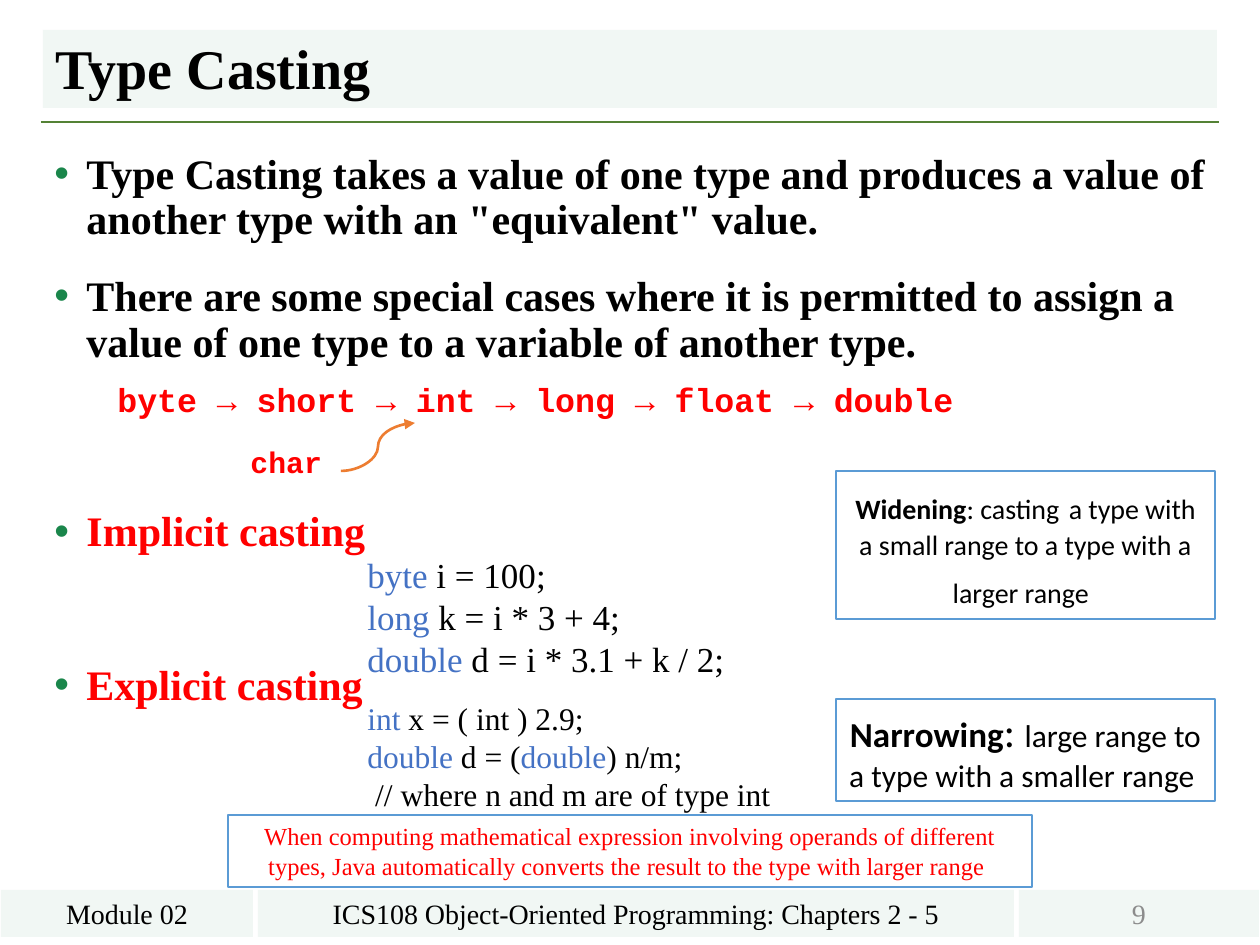
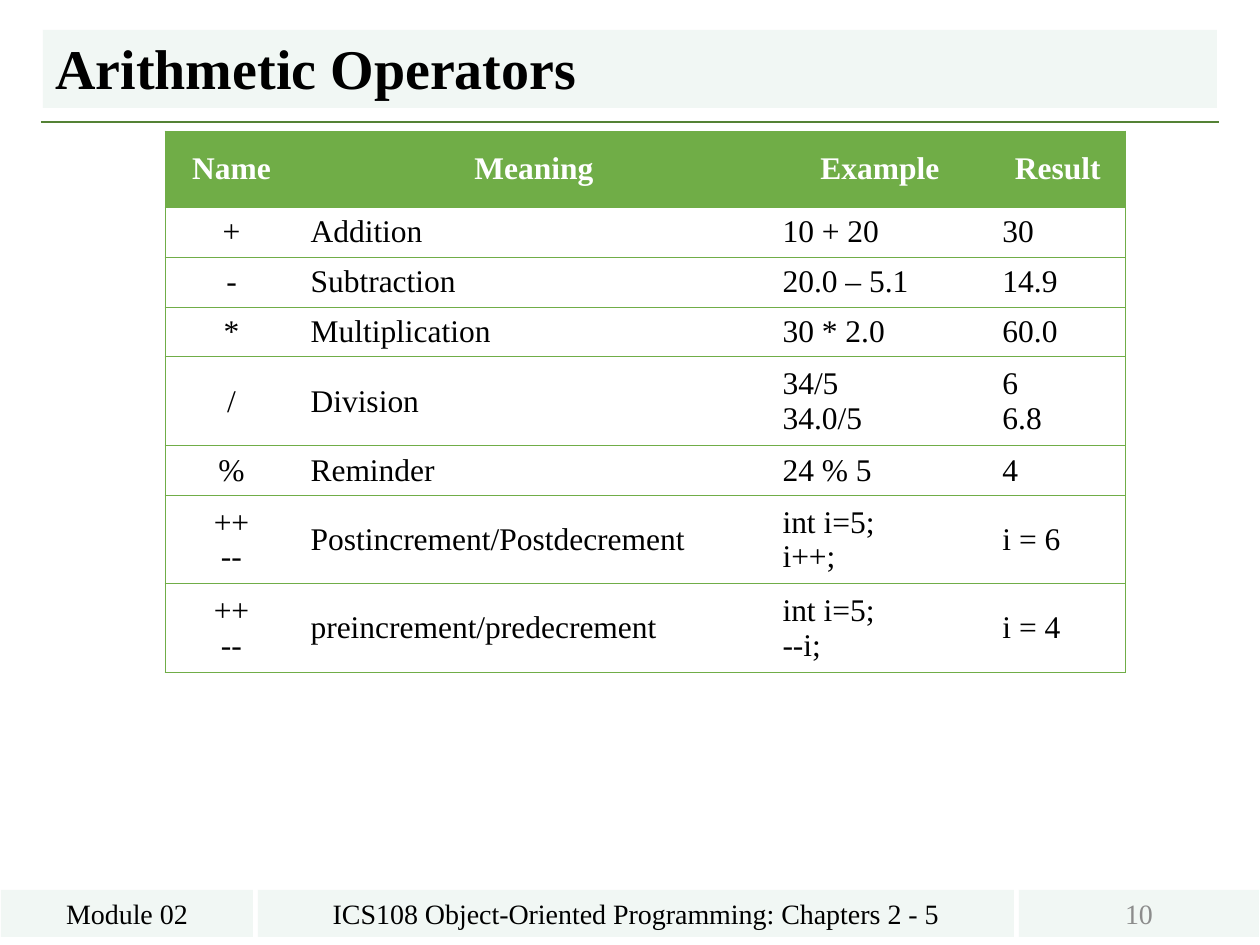
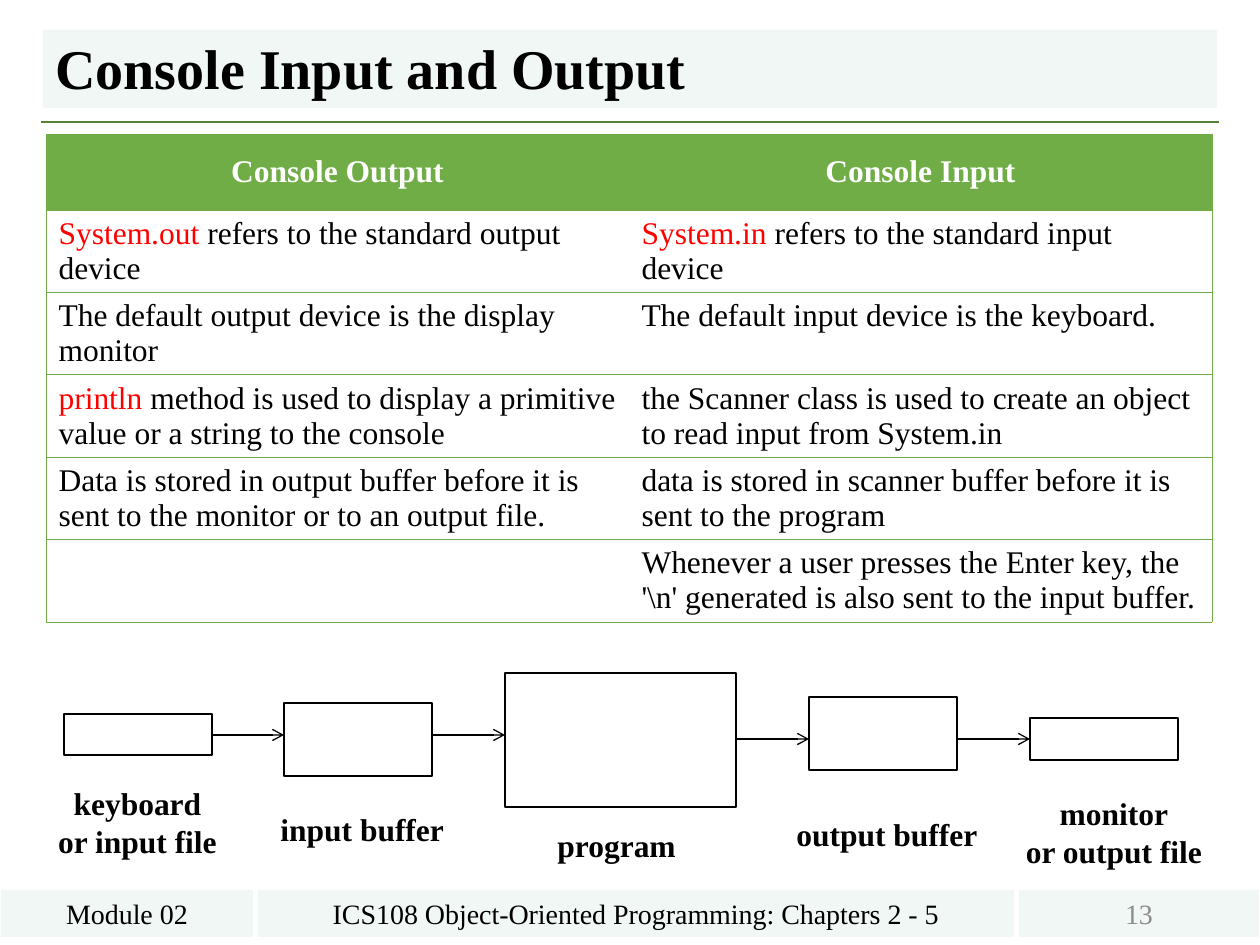
from lxml import etree
from pptx import Presentation
from pptx import util as u
from pptx.dml.color import RGBColor
from pptx.enum import shapes, text
from pptx.oxml.ns import qn

SCALE = u.Inches(1) / 126
SLIDE_WIDTH, SLIDE_HEIGHT = 1260, 945

BLACK = RGBColor(0x00, 0x00, 0x00)
WHITE = RGBColor(0xFF, 0xFF, 0xFF)
RED = RGBColor(0xFF, 0x00, 0x00)
GRAY = RGBColor(0x8C, 0x8C, 0x8C)
BAND = RGBColor(0xF1, 0xF7, 0xF4)
RULE_GREEN = RGBColor(0x54, 0x82, 0x35)
TABLE_GREEN = RGBColor(0x70, 0xAD, 0x47)
BULLET_GREEN = RGBColor(0x1A, 0x86, 0x4B)
KEYWORD_BLUE = RGBColor(0x44, 0x72, 0xC4)
NOTE_BLUE = RGBColor(0x5B, 0x9B, 0xD5)
ORANGE = RGBColor(0xED, 0x7D, 0x31)

SERIF, MONO, SANS = "Times New Roman", "Courier New", "Calibri"
CENTER = text.PP_ALIGN.CENTER
MIDDLE, BOTTOM = text.MSO_ANCHOR.MIDDLE, text.MSO_ANCHOR.BOTTOM


def px(length):
    return u.Emu(round(length * SCALE))


def keyword(word):
    return word, {"color": KEYWORD_BLUE}


def red(word):
    return word, {"color": RED}


def format_run(run, size=18, font=SERIF, color=BLACK, bold=False):
    run.font.size = u.Pt(size)
    run.font.name = font
    run.font.color.rgb = color
    run.font.bold = bold


def write(frame, paragraphs, align=None, anchor=None, **style):
    """Fill a frame; a paragraph is a string or a list of strings and (string, style) runs."""
    frame.word_wrap = True
    if anchor is not None:
        frame.vertical_anchor = anchor
    for index, runs in enumerate(paragraphs):
        paragraph = frame.paragraphs[0] if index == 0 else frame.add_paragraph()
        paragraph.alignment = align
        for run in [runs] if isinstance(runs, str) else runs:
            words, changes = (run, {}) if isinstance(run, str) else run
            added = paragraph.add_run()
            added.text = words
            format_run(added, **{**style, **changes})


def add_text(slide, place, *paragraphs, **style):
    box = slide.shapes.add_textbox(*map(px, place))
    write(box.text_frame, paragraphs, **style)
    return box.text_frame


def add_box(slide, place, *paragraphs, fill=None, line=None, line_width=1, **style):
    shape = slide.shapes.add_shape(shapes.MSO_SHAPE.RECTANGLE, *map(px, place))
    shape.shadow.inherit = False
    if fill is None:
        shape.fill.background()
    else:
        shape.fill.solid()
        shape.fill.fore_color.rgb = fill
    if line is None:
        shape.line.fill.background()
    else:
        shape.line.color.rgb = line
        shape.line.width = u.Pt(line_width)
    if paragraphs:
        shape.text_frame.vertical_anchor = text.MSO_ANCHOR.TOP
        write(shape.text_frame, paragraphs, **style)


def add_line(slide, start, end, color, width, head=None, kind=shapes.MSO_CONNECTOR.STRAIGHT):
    connector = slide.shapes.add_connector(kind, *map(px, start + end))
    connector.line.color.rgb = color
    connector.line.width = u.Pt(width)
    if head:
        etree.SubElement(connector.line._get_or_add_ln(), qn("a:tailEnd"), type=head)
    etree.SubElement(connector._element.spPr, qn("a:effectLst"))


def indent(paragraph, left, first, bullet=False):
    properties = paragraph._p.get_or_add_pPr()
    properties.set("marL", str(px(left)))
    properties.set("indent", str(px(first)))
    if bullet:
        color = etree.SubElement(properties, qn("a:buClr"))
        etree.SubElement(color, qn("a:srgbClr"), val=str(BULLET_GREEN))
        etree.SubElement(properties, qn("a:buFont"), typeface="Arial")
        etree.SubElement(properties, qn("a:buChar"), char="•")


def set_borders(cell, visible):
    properties = cell._tc.get_or_add_tcPr()
    for side in "LRTB":
        line = etree.SubElement(properties, qn(f"a:ln{side}"), w=str(u.Pt(0.5)))
        if side in visible:
            fill = etree.SubElement(line, qn("a:solidFill"))
            etree.SubElement(fill, qn("a:srgbClr"), val=str(TABLE_GREEN))
        else:
            etree.SubElement(line, qn("a:noFill"))


def add_table(slide, left, top, widths, heights, rows, centered=(), anchor=None):
    """Green header over ruled rows; each cell is a list of paragraphs."""
    frame = slide.shapes.add_table(
        len(rows), len(widths), px(left), px(top), px(sum(widths)), px(sum(heights)))
    table = frame.table
    for column, width in zip(table.columns, widths):
        column.width = px(width)
    for row, height in zip(table.rows, heights):
        row.height = px(height)
    for row_index, row in enumerate(rows):
        header = row_index == 0
        for column_index, paragraphs in enumerate(row):
            cell = table.cell(row_index, column_index)
            outer = "L" * (column_index == 0) + "R" * (column_index == len(row) - 1)
            set_borders(cell, "TB" + outer)
            cell.fill.solid()
            cell.fill.fore_color.rgb = TABLE_GREEN if header else WHITE
            cell.vertical_anchor = MIDDLE if header else anchor
            write(cell.text_frame, paragraphs,
                  align=CENTER if header or column_index in centered else None,
                  color=WHITE if header else BLACK, bold=header)


def add_slide(presentation, title, number):
    """Blank slide with the title band, the rule and the three footer bands."""
    slide = presentation.slides.add_slide(presentation.slide_layouts[6])
    add_line(slide, (41, 122), (1219, 122), RULE_GREEN, 1.5)
    footers = [(1, 252, "Module 02", BLACK),
               (258, 756, "ICS108 Object-Oriented Programming: Chapters 2 - 5", BLACK),
               (1019, 240, str(number), GRAY)]
    for left, width, words, color in footers:
        add_box(slide, (left, 890, width, 47), words, fill=BAND,
                align=CENTER, anchor=MIDDLE, size=16, color=color)
    add_box(slide, (43, 30, 1174, 78), title, fill=BAND, anchor=BOTTOM, size=32, bold=True)
    slide.shapes[-1].text_frame.paragraphs[0].line_spacing = 0.9
    return slide


def add_casting_points(slide):
    conversion = {"font": MONO, "color": RED}
    # words, run style, left indent, first-line indent, line spacing, space before
    points = [
        ("Type Casting takes a value of one type and produces a value of another type "
         "with an \"equivalent\" value.", {}, 32, -32, 0.9, 18),
        ("There are some special cases where it is permitted to assign a value of one type "
         "to a variable of another type.", {}, 32, -32, 0.9, 18),
        ("byte → short → int → long → float → double", {"size": 19, **conversion},
         63, 0, 0.8, 12),
        ("char", {"size": 17, **conversion}, 196, 0, 0.8, 18),
        ("Implicit casting", {"color": RED}, 32, -32, 0.9, 18),
        ("Explicit casting", {"color": RED}, 32, -32, 0.9, 62),
    ]
    frame = add_text(slide, (42, 147, 1177, 713),
                     *[[(words, style)] for words, style, *_ in points], size=24, bold=True)
    for paragraph, (_, _, left, first, spacing, before) in zip(frame.paragraphs, points):
        paragraph.line_spacing = spacing
        paragraph.space_before = u.Pt(before)
        indent(paragraph, left, first, bullet=first < 0)


def build_type_casting(presentation):
    slide = add_slide(presentation, "Type Casting", 9)
    add_casting_points(slide)
    add_line(slide, (341, 471), (415, 423), ORANGE, 1.5, "triangle", shapes.MSO_CONNECTOR.CURVE)
    add_text(slide, (355, 547, 438, 140),
             [keyword("byte "), "i = 100;"],
             [keyword("long"), " k = i * 3 + 4;"],
             [keyword("double"), " d = i * 3.1 + k / 2;"], size=20)
    add_text(slide, (355, 693, 462, 127),
             [keyword("int"), " x = ( int ) 2.9;"],
             [keyword("double"), " d = (", keyword("double"), ") n/m;"],
             " // where n and m are of type int")
    note = {"fill": WHITE, "line": NOTE_BLUE, "align": CENTER}
    large = {"size": 24}
    add_box(slide, (836, 699, 379, 102),
            [("Narrowing", {"size": 20, "bold": True}), (": ", large),
             "large range to a type with a smaller range "], font=SANS, **note)
    add_box(slide, (836, 471, 379, 148),
            [("Widening", {"bold": True}), ": casting", (" ", large),
             "a type with a small range to a type with a larger range", (" ", large)],
            font=SANS, size=16, **note)
    add_box(slide, (228, 815, 804, 72),
            "When computing mathematical expression involving operands of different types, "
            "Java automatically converts the result to the type with larger range ",
            size=14, color=RED, **note)


def build_operators(presentation):
    slide = add_slide(presentation, "Arithmetic Operators", 10)
    rows = [
        [["Name"], ["Meaning"], ["Example"], ["Result"]],
        [["+"], ["Addition"], ["10 + 20"], ["30"]],
        [["-"], ["Subtraction"], ["20.0 – 5.1"], ["14.9"]],
        [["*"], ["Multiplication"], ["30 * 2.0"], ["60.0"]],
        [["/"], ["Division"], ["34/5", "34.0/5"], ["6", "6.8"]],
        [["%"], ["Reminder"], ["24 % 5"], ["4"]],
        [["++", "--"], ["Postincrement/Postdecrement"], ["int i=5;", "i++;"], ["i = 6"]],
        [["++", "--"], ["preincrement/predecrement"], ["int i=5;", "--i;"], ["i = 4"]],
    ]
    add_table(slide, 165, 131, [133, 472, 220, 136], [76, 50, 50, 50, 89, 50, 88, 89],
              rows, centered=[0], anchor=MIDDLE)


def build_console(presentation):
    slide = add_slide(presentation, "Console Input and Output", 13)
    rows = [
        [["Console Output"], ["Console Input"]],
        [[[red("System.out"), " refers to the standard output device"]],
         [[red("System.in"), " refers to the standard input device"]]],
        [["The default output device is the display monitor"],
         ["The default input device is the keyboard."]],
        [[[red("println"),
           " method is used to display a primitive value or a string to the console"]],
         ["the Scanner class is used to create an object to read input from System.in"]],
        [["Data is stored in output buffer before it is sent to the monitor or to an output file."],
         ["data is stored in scanner buffer before it is sent to the program"]],
        [[], ["Whenever a user presses the Enter key, the '\\n' generated is also sent "
              "to the input buffer."]],
    ]
    add_table(slide, 46, 134, [583, 583], [76] + [82] * 5, rows)

    # box place, label place, label lines, label alignment
    stations = [
        ((64, 714, 148, 41), (43, 778, 189, 90), ["keyboard", "or input file"], CENTER),
        ((284, 703, 148, 73), (268, 804, 189, 50), ["input buffer"], None),
        ((505, 673, 231, 134), (545, 820, 168, 50), ["program"], None),
        ((809, 697, 148, 73), (784, 809, 220, 50), ["output buffer"], None),
        ((1030, 718, 148, 42), (1009, 788, 210, 90), ["monitor", "or output file"], CENTER),
    ]
    for box, label, lines, align in stations:
        add_box(slide, box, line=BLACK, line_width=0.75)
        add_text(slide, label, *lines, align=align, bold=True)
    boxes = [station[0] for station in stations]
    for source, target, y in zip(boxes, boxes[1:], [735, 735, 739, 739]):
        add_line(slide, (source[0] + source[2], y), (target[0], y), BLACK, 0.75, "arrow")


def main():
    presentation = Presentation()
    presentation.slide_width, presentation.slide_height = px(SLIDE_WIDTH), px(SLIDE_HEIGHT)
    build_type_casting(presentation)
    build_operators(presentation)
    build_console(presentation)
    presentation.save("out.pptx")


if __name__ == "__main__":
    main()
